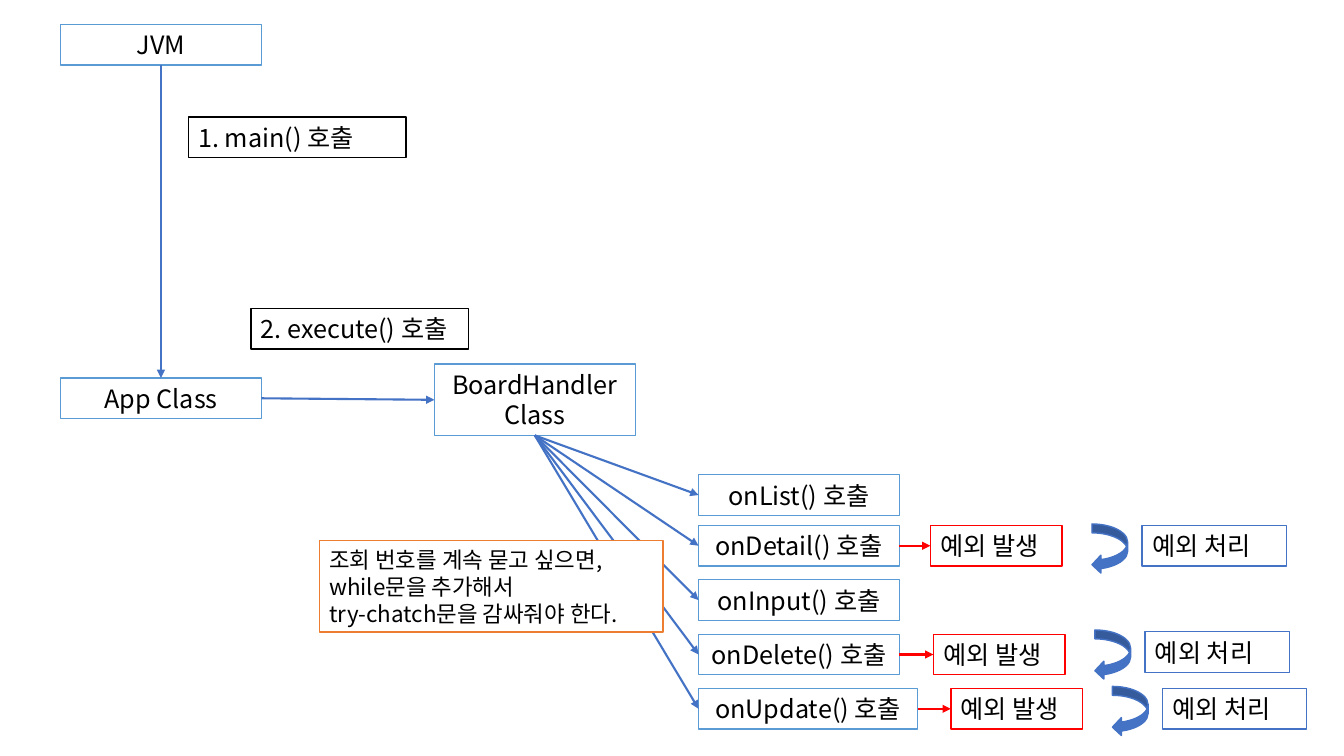
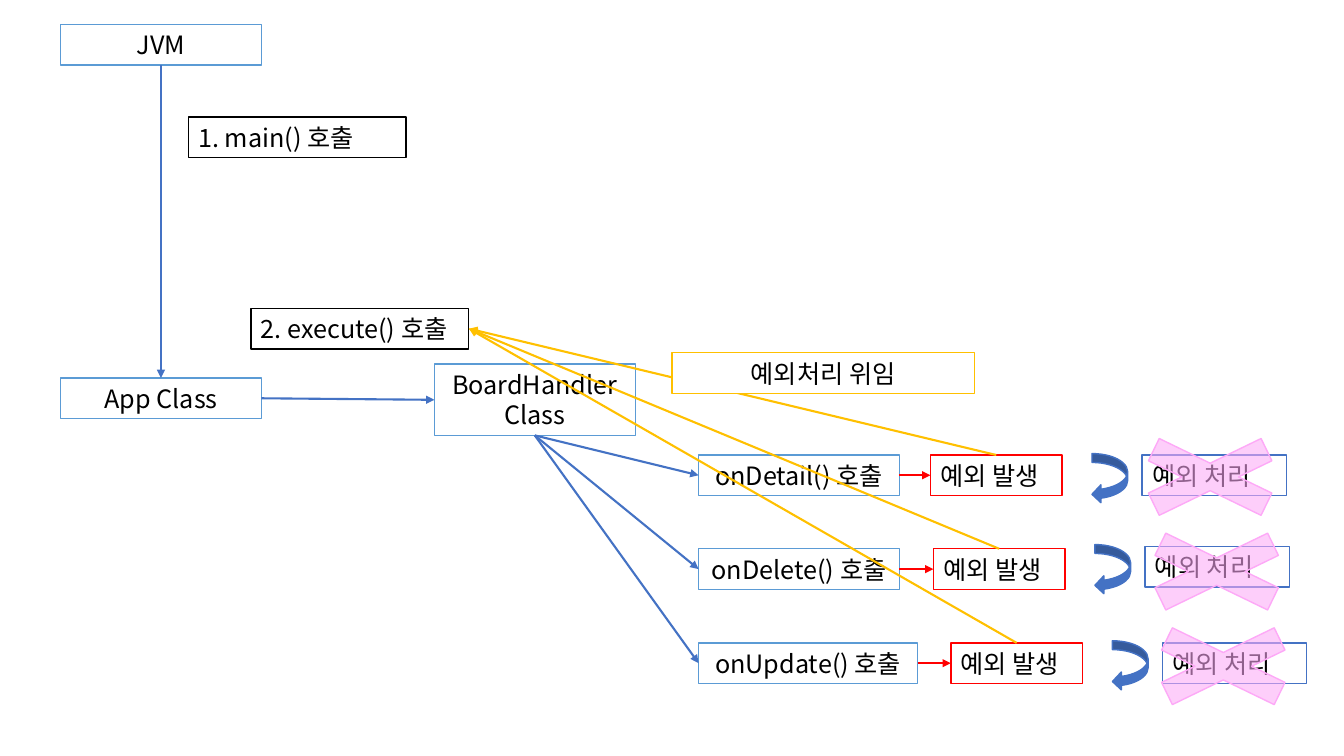
from lxml.etree import SubElement
from pptx import Presentation
from pptx.dml.color import RGBColor
from pptx.enum.shapes import MSO_CONNECTOR as Connector, MSO_SHAPE as Shape
from pptx.enum.text import MSO_ANCHOR as Anchor, PP_ALIGN as Align
from pptx.oxml.ns import qn
from pptx.util import Pt

WHITE = RGBColor(0xFF, 0xFF, 0xFF)
BLACK = RGBColor(0x00, 0x00, 0x00)
SKY = RGBColor(0x5B, 0x9B, 0xD5)
BLUE = RGBColor(0x44, 0x72, 0xC4)
RED = RGBColor(0xFF, 0x00, 0x00)
ORANGE = RGBColor(0xED, 0x7D, 0x31)
GOLD = RGBColor(0xFF, 0xC0, 0x00)
PINK = RGBColor(0xFD, 0xA9, 0xF7)

FONT = "Noto Sans CJK KR"
ROW_H = 29
CLASS_W = 143.5
METHOD_X = 499
ERROR_W = 94
FAN_X, FAN_Y = 382, 311
EXECUTE_X, EXECUTE_Y = 335, 234.8


def add_box(page, x, y, width, height, outline, text="", align=Align.CENTER,
            size=18, kind=Shape.RECTANGLE, fill=WHITE):
    box = page.shapes.add_shape(kind, Pt(x), Pt(y), Pt(width), Pt(height))
    box.shadow.inherit = False
    box.fill.solid()
    box.fill.fore_color.rgb = fill
    box.line.color.rgb = outline
    box.line.width = Pt(1)
    if not text:
        return box
    side = Pt(3.6 if align == Align.CENTER else 7.2)
    frame = box.text_frame
    frame_format = {"word_wrap": True, "vertical_anchor": Anchor.MIDDLE,
                    "margin_left": side, "margin_right": side}
    for name, value in frame_format.items():
        setattr(frame, name, value)
    for number, line in enumerate(text.split("\n")):
        para = frame.add_paragraph() if number else frame.paragraphs[0]
        para.alignment = align
        para.line_spacing = Pt(1.2 * size)
        span = para.add_run()
        span.text = line
        for name, value in {"name": FONT, "size": Pt(size)}.items():
            setattr(span.font, name, value)
        span.font.color.rgb = BLACK
        SubElement(span.font._element, qn("a:ea"), typeface=FONT)
    return box


def add_arrow(page, x1, y1, x2, y2, color):
    arrow = page.shapes.add_connector(Connector.STRAIGHT, Pt(x1), Pt(y1), Pt(x2), Pt(y2))
    arrow.line.color.rgb = color
    arrow.line.width = Pt(1.5)
    SubElement(arrow.line._get_or_add_ln(), qn("a:tailEnd"), type="triangle")
    SubElement(arrow._element.spPr, qn("a:effectLst"))


deck = Presentation()
deck.slide_width, deck.slide_height = Pt(960), Pt(540)

CLASSES = [
    ("App Class", 43.3, 270, ROW_H),
    ("BoardHandler Class", 310.3, 260, 51),
    ("JVM", 43.3, 17.5, ROW_H),
]
STEPS = [("2. execute() 호출", 179.3, 220.3), ("1. main() 호출", 134.6, 83.5)]
METHOD_W = {"onUpdate": 156.5}
ERROR_X = {"onDetail": 664.6, "onDelete": 666.7, "onUpdate": 679.2}
TURN_DY = {"onDetail": 4, "onDelete": 2, "onUpdate": 3.5}
HANDLING_DY = {"onDelete": -1.8}
PAGES = [
    {"onList": 339.1, "onDetail": 375.3, "onInput": 414.1, "onDelete": 453, "onUpdate": 491.8},
    {"onDetail": 325, "onDelete": 392, "onUpdate": 459.2},
]

for rows in PAGES:
    page = deck.slides.add_slide(deck.slide_layouts[6])
    for text, x, y, height in CLASSES:
        add_box(page, x, y, CLASS_W, height, SKY, text)
    for text, x, y in STEPS:
        add_box(page, x, y, 155.5, ROW_H, BLACK, text, Align.LEFT)
    add_arrow(page, 115, 46.5, 115, 270, BLUE)
    add_arrow(page, 186.8, 284.5, 310.3, 285.6, BLUE)

    for method, y in rows.items():
        middle = y + ROW_H / 2
        width = METHOD_W.get(method, CLASS_W)
        add_box(page, METHOD_X, y, width, ROW_H, SKY, f"{method}() 호출")
        add_arrow(page, FAN_X, FAN_Y, METHOD_X, middle, BLUE)
        if method not in ERROR_X:
            continue
        error_x = ERROR_X[method]
        add_box(page, error_x, y, ERROR_W, ROW_H, RED, "예외 발생", Align.LEFT)
        add_arrow(page, METHOD_X + width, middle, error_x, middle, RED)
        turn = add_box(page, error_x + 110.4, y + TURN_DY[method], 35.5, 25.5, BLUE,
                       kind=Shape.CURVED_DOWN_ARROW, fill=BLUE)
        turn.rotation = 90
        add_box(page, error_x + 151.2, y + HANDLING_DY.get(method, 0), 103, ROW_H, BLUE,
                "예외 처리", Align.LEFT)

note = "조회 번호를 계속 묻고 싶으면,\nwhile문을 추가해서\ntry-chatch문을 감싸줘야 한다."
add_box(deck.slides[0], 228.2, 386, 245.5, 65.5, ORANGE, note, Align.LEFT, 16)

for number in range(3):
    cross = add_box(page, 787 + 4.7 * number, 303.2 + 67.6 * number, 154.8, 75, PINK,
                    kind=Shape.MATH_MULTIPLY, fill=PINK)
    color = cross._element.spPr.find(qn("a:solidFill"))[0]
    SubElement(color, qn("a:alpha"), val="57000")
for method, y in rows.items():
    add_arrow(page, ERROR_X[method] + ERROR_W / 2, y, EXECUTE_X, EXECUTE_Y, GOLD)
add_box(page, 480, 252, 216, ROW_H, GOLD, "예외처리 위임")

deck.save("out.pptx")
